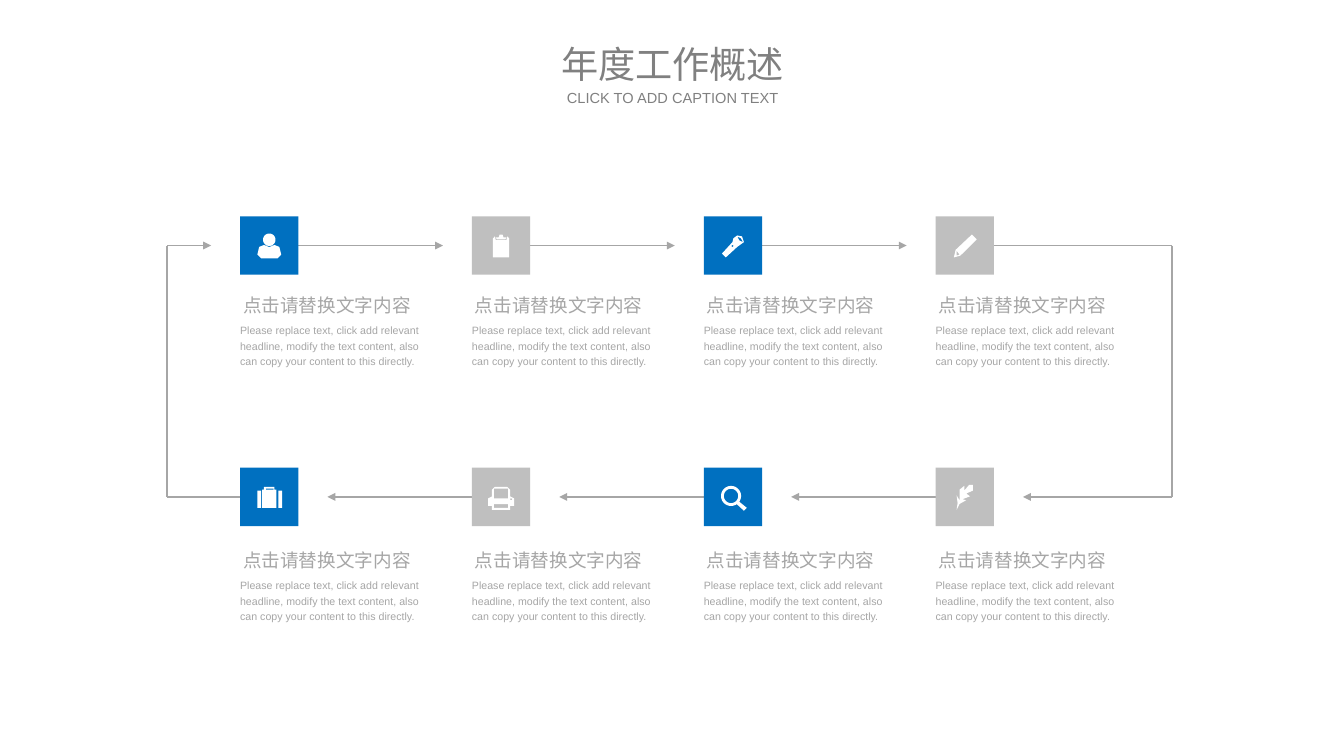
from dataclasses import dataclass
from math import cos, radians, sin

from lxml import etree
from pptx import Presentation
from pptx import util as u
from pptx.dml.color import RGBColor
from pptx.enum import shapes, text
from pptx.oxml import ns

Point = tuple[float, float]
Contour = list[Point]

COLORS = {"blue": "0070C0", "silver": "BFBFBF", "white": "FFFFFF",
          "line": "A6A6A6", "body": "A6A6A6", "title": "808080"}
FONT = "Arial"
HEADING = "点击请替换文字内容"
DETAIL = ("Please replace text, click add relevant headline, modify the text "
          "content, also can copy your content to this directly.")

# Layout in centimetres
PAGE_WIDTH, PAGE_HEIGHT = 35.71, 20.09
TILE = 1.55
COLUMNS = [6.38 + 6.16 * index for index in range(4)]
ARROW_GAP = 0.77
LOOP_LEFT, LOOP_RIGHT = 4.44, 31.14
ICON_UNIT = 0.0254
ICON_AXIS = 30.5


@dataclass
class Row:
    top: float
    text_top: float
    icons: list[str]

    @property
    def middle(self) -> float:
        return self.top + TILE / 2


@dataclass
class Label:
    words: str
    left: float
    top: float
    width: float
    height: float
    size: float
    color: str
    align: text.PP_ALIGN = text.PP_ALIGN.LEFT
    anchor: text.MSO_ANCHOR = text.MSO_ANCHOR.TOP
    line_spacing: float = 1.0
    space_before: float = 0


@dataclass
class Link:
    start: Point
    end: Point
    arrow: bool = True


def arc(x: float, y: float, radius: float, start: int = 0, end: int = 350) -> Contour:
    """Points along a circle, ten degrees apart, angles clockwise from the right."""
    angles = [radians(angle) for angle in range(start, end + 1, 10)]
    return [(x + radius * cos(a), y + radius * sin(a)) for a in angles]


def block(left: float, top: float, right: float, bottom: float) -> Contour:
    return [(left, top), (right, top), (right, bottom), (left, bottom)]


def mirrored(half: Contour) -> Contour:
    """Close a right half with its reflection in the icon's vertical axis."""
    return half + [(2 * ICON_AXIS - x, y) for x, y in reversed(half)]


# Contours in icon units from the tile's top left corner; inner contours are holes
ICONS: dict[str, list[Contour]] = {
    "person": [arc(ICON_AXIS, 24.5, 6.5),
               mirrored([(31, 32), (36, 30), (41, 32), (43, 40), (39, 44)])],
    "clipboard": [mirrored([(36, 25), (37, 21), (39, 23), (39, 43)]),
                  mirrored([(32, 19), (33, 22), (36, 22), (35, 24)])],
    "flashlight": [[(42, 27), (35, 32), (23, 43), (19, 39), (30, 27), (31, 23),
                    (35, 20), (40, 21)],
                   [(35, 21), (39, 23), (41, 27), (37, 25)],
                   arc(30, 31, 1)],
    "pencil": [[(38, 19), (43, 24), (26, 41), (19, 43), (21, 35)],
               [(22, 36), (25, 40), (22, 41)]],
    "suitcase": [block(18, 24, 22, 42), block(23, 23, 38, 42), block(40, 24, 44, 42),
                 block(25, 20, 36, 23), block(27, 22, 35, 23)],
    "printer": [mirrored([(37, 20), (40, 23), (40, 30), (44, 32), (44, 40), (40, 40),
                          (40, 44)]),
                block(23, 22, 38, 32), block(23, 38, 38, 42), arc(41, 33, 1)],
    "magnifier": [arc(28.5, 29.5, 10.5, 55, 395) + [(45, 42), (42, 45)],
                  arc(28.5, 29.5, 7.5)],
    "feather": [[(22, 44), (25, 38), (32, 34), (28, 33), (36, 30), (32, 27), (39, 24),
                 (39, 18), (35, 18), (30, 24), (30, 19), (25, 23), (25, 34), (22, 29),
                 (23, 37)]],
}

TOP = Row(5.75, 7.7, ["person", "clipboard", "flashlight", "pencil"])
BOTTOM = Row(12.43, 14.48, ["suitcase", "printer", "magnifier", "feather"])


def paint(shape, color: str) -> None:
    shape.shadow.inherit = False
    shape.fill.solid()
    shape.fill.fore_color.rgb = RGBColor.from_string(COLORS[color])
    shape.line.fill.background()


def add_tile(page, left: float, top: float, color: str, icon: str) -> None:
    group = page.shapes.add_group_shape()
    square = group.shapes.add_shape(shapes.MSO_SHAPE.RECTANGLE, u.Cm(left), u.Cm(top),
                                    u.Cm(TILE), u.Cm(TILE))
    paint(square, color)
    contours = [[(u.Cm(left + x * ICON_UNIT), u.Cm(top + y * ICON_UNIT))
                 for x, y in contour] for contour in ICONS[icon]]
    pen = group.shapes.build_freeform(*contours[0][0])
    pen.add_line_segments(contours[0][1:], close=True)
    for contour in contours[1:]:
        pen.move_to(*contour[0])
        pen.add_line_segments(contour[1:], close=True)
    paint(pen.convert_to_shape(), "white")


def add_link(page, link: Link) -> None:
    ends = [u.Cm(value) for value in (*link.start, *link.end)]
    connector = page.shapes.add_connector(shapes.MSO_CONNECTOR.STRAIGHT, *ends)
    connector.line.color.rgb = RGBColor.from_string(COLORS["line"])
    connector.line.width = u.Pt(1)
    properties = connector._element.spPr
    if link.arrow:
        etree.SubElement(properties.find(ns.qn("a:ln")), ns.qn("a:tailEnd"), type="triangle")
    etree.SubElement(properties, ns.qn("a:effectLst"))


def add_label(page, label: Label) -> None:
    place = (label.left, label.top, label.width, label.height)
    box = page.shapes.add_textbox(*[u.Cm(value) for value in place])
    frame = box.text_frame
    para = frame.paragraphs[0]
    span = para.add_run()
    span.text = label.words
    span.font.color.rgb = RGBColor.from_string(COLORS[label.color])
    margins = {f"margin_{side}": 0 for side in ("left", "top", "right", "bottom")}
    formats = [
        (frame, margins | {"word_wrap": True, "vertical_anchor": label.anchor,
                           "auto_size": text.MSO_AUTO_SIZE.SHAPE_TO_FIT_TEXT}),
        (para, {"alignment": label.align, "line_spacing": label.line_spacing,
                "space_before": u.Pt(label.space_before)}),
        (span.font, {"name": FONT, "size": u.Pt(label.size)})]
    for target, values in formats:
        for name, value in values.items():
            setattr(target, name, value)


def loop_links() -> list[Link]:
    """Arrows rightwards along the top row, leftwards along the bottom, joined at the sides."""
    high, low = TOP.middle, BOTTOM.middle
    links = []
    for left, following in zip(COLUMNS, COLUMNS[1:]):
        links.append(Link((left + TILE, high), (following - ARROW_GAP, high)))
        links.append(Link((following, low), (left + TILE + ARROW_GAP, low)))
    first, last = COLUMNS[0], COLUMNS[-1] + TILE
    return links + [
        Link((last, high), (LOOP_RIGHT, high), arrow=False),
        Link((LOOP_RIGHT, high), (LOOP_RIGHT, low), arrow=False),
        Link((LOOP_RIGHT, low), (last + ARROW_GAP, low)),
        Link((first, low), (LOOP_LEFT, low), arrow=False),
        Link((LOOP_LEFT, low), (LOOP_LEFT, high), arrow=False),
        Link((LOOP_LEFT, high), (first - ARROW_GAP, high))]


def main() -> None:
    deck = Presentation()
    deck.slide_width, deck.slide_height = u.Cm(PAGE_WIDTH), u.Cm(PAGE_HEIGHT)
    page = deck.slides.add_slide(deck.slide_layouts[6])
    for link in loop_links():
        add_link(page, link)
    for row in (TOP, BOTTOM):
        for index, (left, icon) in enumerate(zip(COLUMNS, row.icons)):
            add_tile(page, left, row.top, ("blue", "silver")[index % 2], icon)
            add_label(page, Label(DETAIL, left, row.text_top + 0.85, 5.13, 1.19, 8,
                                  "body", line_spacing=1.2))
            add_label(page, Label(HEADING, left + 0.08, row.text_top, 6.32, 0.66, 14,
                                  "body", line_spacing=1.2, space_before=2.8))
    for words, top, height, size in (("年度工作概述", 1.07, 1.24, 28),
                                     ("CLICK TO ADD CAPTION TEXT", 2.36, 0.48, 11)):
        add_label(page, Label(words, 14.66, top, 6.43, height, size, "title",
                              text.PP_ALIGN.CENTER, text.MSO_ANCHOR.MIDDLE))
    deck.save("out.pptx")


if __name__ == "__main__":
    main()
